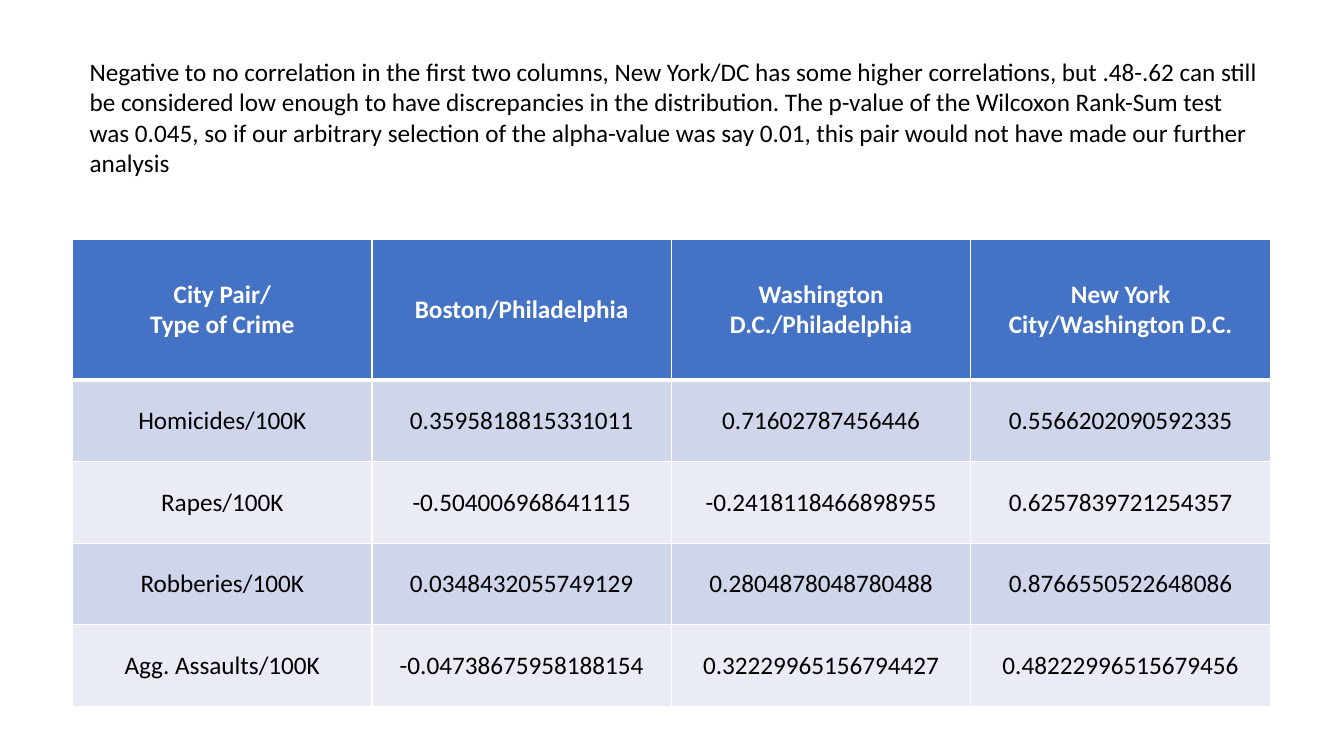
from lxml.etree import SubElement
from pptx import Presentation
from pptx.dml.color import RGBColor
from pptx.enum.text import MSO_ANCHOR, MSO_AUTO_SIZE, PP_ALIGN
from pptx.oxml.ns import qn
from pptx.util import Inches, Pt

BLUE = RGBColor(0x44, 0x72, 0xC4)
MID = RGBColor(0xCF, 0xD5, 0xEA)
PALE = RGBColor(0xE9, 0xEB, 0xF5)
WHITE = RGBColor(0xFF, 0xFF, 0xFF)
BLACK = RGBColor(0x00, 0x00, 0x00)

NOTE = (
    "Negative to no correlation in the first two columns, New York/DC has some "
    "higher correlations, but .48-.62 can still be considered low enough to have "
    "discrepancies in the distribution. The p-value of the Wilcoxon Rank-Sum test "
    "was 0.045, so if our arbitrary selection of the alpha-value was say 0.01, "
    "this pair would not have made our further analysis"
)
ROWS = [
    ["City Pair/\nType of Crime", "Boston/Philadelphia",
     "Washington D.C./Philadelphia", "New York City/Washington D.C."],
    ["Homicides/100K", "0.3595818815331011",
     "0.71602787456446", "0.5566202090592335"],
    ["Rapes/100K", "-0.504006968641115",
     "-0.2418118466898955", "0.6257839721254357"],
    ["Robberies/100K", "0.0348432055749129",
     "0.2804878048780488", "0.8766550522648086"],
    ["Agg. Assaults/100K", "-0.04738675958188154",
     "0.32229965156794427", "0.48222996515679456"],
]


def add_run(para, text, color, bold=False):
    run = para.add_run()
    run.text = text
    run.font.name = "Calibri"
    run.font.size = Pt(18)
    run.font.bold = bold
    run.font.color.rgb = color


def add_edges(cell, top, bottom):
    """Draw white cell borders; top and bottom are widths in points."""
    props = cell._tc.get_or_add_tcPr()
    for tag, width in (("lnL", 1), ("lnR", 1), ("lnT", top), ("lnB", bottom)):
        line = SubElement(props, qn(f"a:{tag}"), w=str(Pt(width)))
        fill = SubElement(line, qn("a:solidFill"))
        SubElement(fill, qn("a:srgbClr"), val=str(WHITE))


deck = Presentation()
deck.slide_width = Inches(13.33)
deck.slide_height = Inches(7.5)
slide = deck.slides.add_slide(deck.slide_layouts[6])

# Correlation table
table = slide.shapes.add_table(
    len(ROWS), len(ROWS[0]),
    Inches(0.72), Inches(2.38), Inches(11.89), Inches(4.61)).table
for col in table.columns:
    col.width = Inches(2.97)

for i, texts in enumerate(ROWS):
    head = i == 0
    table.rows[i].height = Inches(1.39 if head else 0.81)
    for j, text in enumerate(texts):
        cell = table.cell(i, j)
        add_edges(cell, top=3 if i == 1 else 1, bottom=3 if head else 1)
        cell.fill.solid()
        cell.fill.fore_color.rgb = BLUE if head else MID if i % 2 else PALE
        cell.vertical_anchor = MSO_ANCHOR.MIDDLE
        frame = cell.text_frame
        for k, line in enumerate(text.split("\n")):
            para = frame.add_paragraph() if k else frame.paragraphs[0]
            para.alignment = PP_ALIGN.CENTER
            add_run(para, line, WHITE if head else BLACK, head)

# Commentary above the table
box = slide.shapes.add_textbox(
    Inches(0.79), Inches(0.51), Inches(11.89), Inches(1.31))
box.text_frame.word_wrap = True
box.text_frame.auto_size = MSO_AUTO_SIZE.SHAPE_TO_FIT_TEXT
add_run(box.text_frame.paragraphs[0], NOTE, BLACK)

deck.save("out.pptx")
